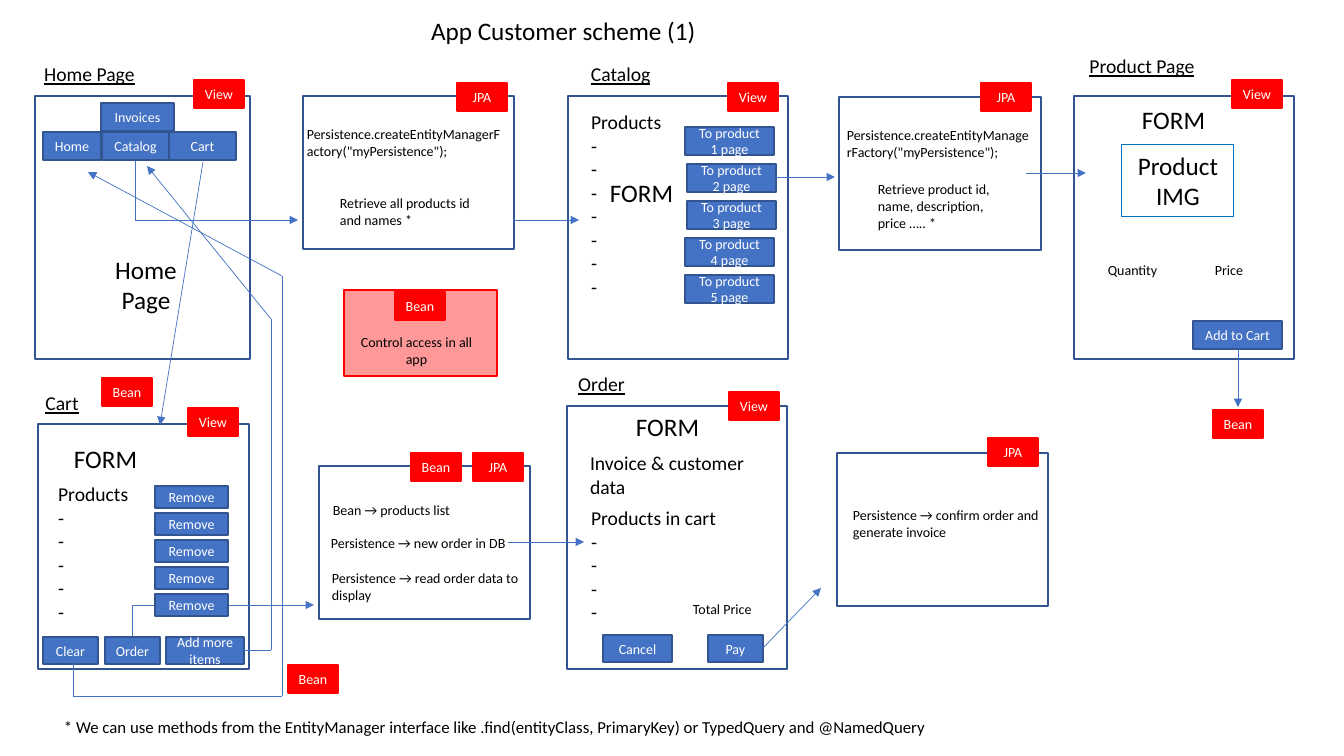
from itertools import pairwise

from lxml import etree
from pptx import Presentation
from pptx.dml import color
from pptx.enum import shapes, text
from pptx.oxml import ns
from pptx import util as u

SCALE = 914400 / 100.8
LEFT, MID = text.PP_ALIGN.LEFT, text.PP_ALIGN.CENTER
TOP, CORE = text.MSO_ANCHOR.TOP, text.MSO_ANCHOR.MIDDLE
BLUE, EDGE, RED, WHITE, BLACK = "4472C4", "325491", "FF0000", "FFFFFF", "000000"
CODE = 'Persistence.createEntityManagerFactory("myPersistence");'


def px(n):
    """Turn pixels into EMU."""
    return u.Emu(round(n * SCALE))


def rgb(code):
    """Turn a hex string into a colour."""
    return color.RGBColor.from_string(code)


def add(parent, tag, **attrs):
    """Append a drawing element to an XML parent."""
    return etree.SubElement(parent, ns.qn(tag), attrs)


def shift(box, x, y, w, h):
    """Place a part relative to the corner of a box."""
    return box[0] + x, box[1] + y, w, h


def write(shape, lines, size, ink=BLACK, align=LEFT, anchor=TOP, under=False):
    """Fill a shape with paragraphs of one format."""
    frame = shape.text_frame
    frame.text = "\n".join(lines)
    look = {"word_wrap": True, "auto_size": text.MSO_AUTO_SIZE.NONE,
            "vertical_anchor": anchor}
    for key, val in look.items():
        setattr(frame, key, val)
    face = {"name": "Calibri", "size": u.Pt(size), "bold": False, "underline": under}
    for par in frame.paragraphs:
        par.alignment = align
        for run in par.runs:
            for key, val in face.items():
                setattr(run.font, key, val)
            run.font.color.rgb = rgb(ink)


def label(box, words, size=10, **look):
    """Add a text box."""
    write(slide.shapes.add_textbox(*map(px, box)), words.split("\n"), size, **look)


def rect(box, fill=WHITE, line=EDGE, width=1):
    """Add a rectangle; fill None leaves it hollow."""
    shape = slide.shapes.add_shape(shapes.MSO_SHAPE.RECTANGLE, *map(px, box))
    shape.shadow.inherit = False
    if fill:
        shape.fill.solid()
        shape.fill.fore_color.rgb = rgb(fill)
    else:
        shape.fill.background()
    shape.line.color.rgb = rgb(line)
    shape.line.width = u.Pt(width)
    return shape


def button(box, words):
    """Add a blue button."""
    write(rect(box, BLUE), [words], 10, WHITE, MID, CORE)


def tag(box, x, y, words):
    """Add a red tag at an offset in a box."""
    write(rect(shift(box, x, y, 50, 28), RED, RED), [words], 10, WHITE, MID, CORE)


def head(box, words, align=MID):
    """Add an underlined page name."""
    label(box, words, 14, align=align, under=True)


def fill(idx, box, lines, size=14):
    """Move a placeholder to the front and fill it."""
    hold = next(p for p in slide.placeholders if p.placeholder_format.idx == idx)
    tree = hold.element.getparent()
    tree.append(hold.element)
    for key, val in zip(("left", "top", "width", "height"), box):
        setattr(hold, key, px(val))
    write(hold, lines, size)
    for par in hold.text_frame.paragraphs:
        par.space_before = u.Pt(0)
        props = par._p.get_or_add_pPr()
        props.set("marL", "0")
        props.set("indent", "0")
        add(props, "a:buNone")


def route(*points, arrow=True):
    """Join points by lines, with an arrowhead at the last one."""
    legs = list(pairwise(points))
    for i, (start, end) in enumerate(legs):
        line = slide.shapes.add_connector(
            shapes.MSO_CONNECTOR.STRAIGHT, *map(px, start + end))
        line.line.color.rgb = rgb(BLUE)
        line.line.width = u.Pt(0.5)
        if arrow and i == len(legs) - 1:
            add(line.line._get_or_add_ln(), "a:tailEnd", type="triangle")
        add(line.element.spPr, "a:effectLst")


def home(box):
    """Draw the home page with its menu."""
    rect(box)
    head(shift(box, -3, -39, 115, 34), "Home Page")
    tag(box, 159, -16, "View")
    for x, w, name in ((8, 58, "Home"), (67, 67, "Catalog"), (134, 67, "Cart")):
        button(shift(box, x, 36, w, 28), name)
    button(shift(box, 66, 7, 73, 28), "Invoices")
    label(shift(box, 53, 153, 116, 72), "Home\nPage", 18, align=MID)


def cart(box):
    """Draw the cart with its list and buttons."""
    rect(box)
    head(shift(box, -9, -38, 66, 34), "Cart")
    for x, y, name in ((150, -16, "View"), (64, -46, "Bean"), (250, 241, "Bean")):
        tag(box, x, y, name)
    label(shift(box, 26, 14, 97, 40), "FORM", 18)
    fill(1, shift(box, 10, 53, 162, 152), ["Products"] + ["-"] * 5)
    x, y = box[:2]
    route((x + 94, y + 213), (x + 94, y + 181), (x + 276, y + 181))
    for i in range(5):
        button(shift(box, 117, 62 + 27 * i, 73, 22), "Remove")
    for x, w, name in ((5, 55, "Clear"), (67, 55, "Order"), (128, 78, "Add more items")):
        button(shift(box, x, 213, w, 27), name)


def catalog(box):
    """Draw the catalog with its product links."""
    rect(box)
    head(shift(box, 13, -39, 162, 34), "Catalog", LEFT)
    tag(box, 160, -13, "View")
    label(shift(box, 32, 76, 130, 40), "FORM", 18)
    fill(2, shift(box, 13, 9, 162, 204), ["Products"] + ["-"] * 7)
    for i, x in enumerate((117, 119, 119, 117, 117)):
        button(shift(box, x, 31 + 37 * i, 89, 28), f"To product {i + 1} page")


def product(box):
    """Draw the product page."""
    rect(box)
    head(shift(box, -1, -47, 138, 34), "Product Page")
    tag(box, 158, -16, "View")
    tag(box, 139, 314, "Bean")
    label(shift(box, 58, 3, 97, 40), "FORM", 18)
    write(rect(shift(box, 48, 49, 112, 72), None, "0070C0", 0.75),
          ["Product IMG"], 18, align=MID)
    label(shift(box, 24, 161, 97, 27), "Quantity")
    label(shift(box, 131, 161, 68, 27), "Price")
    button(shift(box, 119, 225, 89, 28), "Add to Cart")


def order(box):
    """Draw the order form."""
    rect(box)
    head(shift(box, -7, -39, 83, 34), "Order")
    tag(box, 162, -14, "View")
    label(shift(box, 59, 0, 97, 40), "FORM", 18)
    fill(3, shift(box, 13, 40, 195, 57), ["Invoice & customer data"])
    fill(4, shift(box, 14, 95, 162, 129), ["Products in cart"] + ["-"] * 4)
    label(shift(box, 116, 190, 89, 27), "Total Price")
    button(shift(box, 36, 229, 69, 27), "Cancel")
    button(shift(box, 141, 229, 55, 27), "Pay")


def step(box, tags, notes):
    """Draw a server step with tags and notes."""
    rect(box)
    for x, y, name in tags:
        tag(box, x, y, name)
    for *part, words in notes:
        label(shift(box, *part), words)


def control(box):
    """Draw the pale red access control card."""
    card = rect(box, RED, RED)
    add(card.element.spPr.find(".//" + ns.qn("a:srgbClr")), "a:alpha", val="40000")
    tag(box, 51, 2, "Bean")
    label(shift(box, -4, 39, 153, 44), "Control access in all app", align=MID)


deck = Presentation()
deck.slide_width, deck.slide_height = px(1344), px(756)
slide = deck.slides.add_slide(deck.slide_layouts[4])

fill(0, (421, 10, 286, 40), ["App Customer scheme (1)"], 18)
home((35, 96, 215, 263))
cart((38, 424, 211, 245))
catalog((568, 96, 220, 263))
product((1074, 96, 220, 263))
order((567, 406, 220, 263))
control((344, 290, 153, 86))
step((303, 96, 211, 153), [(154, -13, "JPA")],
     [(-6, 25, 215, 44, CODE),
      (27, 94, 153, 44, "Retrieve all products id and names *")])
step((839, 97, 202, 153), [(142, -14, "JPA")],
     [(-2, 25, 202, 44, CODE),
      (29, 79, 153, 61, "Retrieve product id, name, description, price ….. *")])
step((319, 466, 211, 153), [(92, -13, "Bean"), (154, -13, "JPA")],
     [(4, 31, 168, 27, "Bean → products list"),
      (2, 64, 206, 27, "Persistence → new order in DB"),
      (3, 99, 206, 44, "Persistence → read order data to display")])
step((837, 453, 211, 153), [(151, -15, "JPA")],
     [(6, 49, 206, 44, "Persistence → confirm order and generate invoice")])
label((54, 712, 1235, 30), "* We can use methods from the EntityManager interface like "
      ".find(entityClass, PrimaryKey) or TypedQuery and @NamedQuery", 12)

for points in (
        ((135, 161), (135, 220), (298, 220)), ((513, 220), (579, 220)),
        ((775, 177), (835, 177)), ((1026, 173), (1086, 173)),
        ((1238, 349), (1238, 407)), ((203, 162), (160, 425)),
        ((73, 663), (73, 696), (282, 696), (282, 276), (88, 172)),
        ((244, 650), (271, 650), (271, 319), (147, 166)),
        ((508, 542), (584, 542)), ((763, 648), (821, 588))):
    route(*points)
deck.save("out.pptx")
